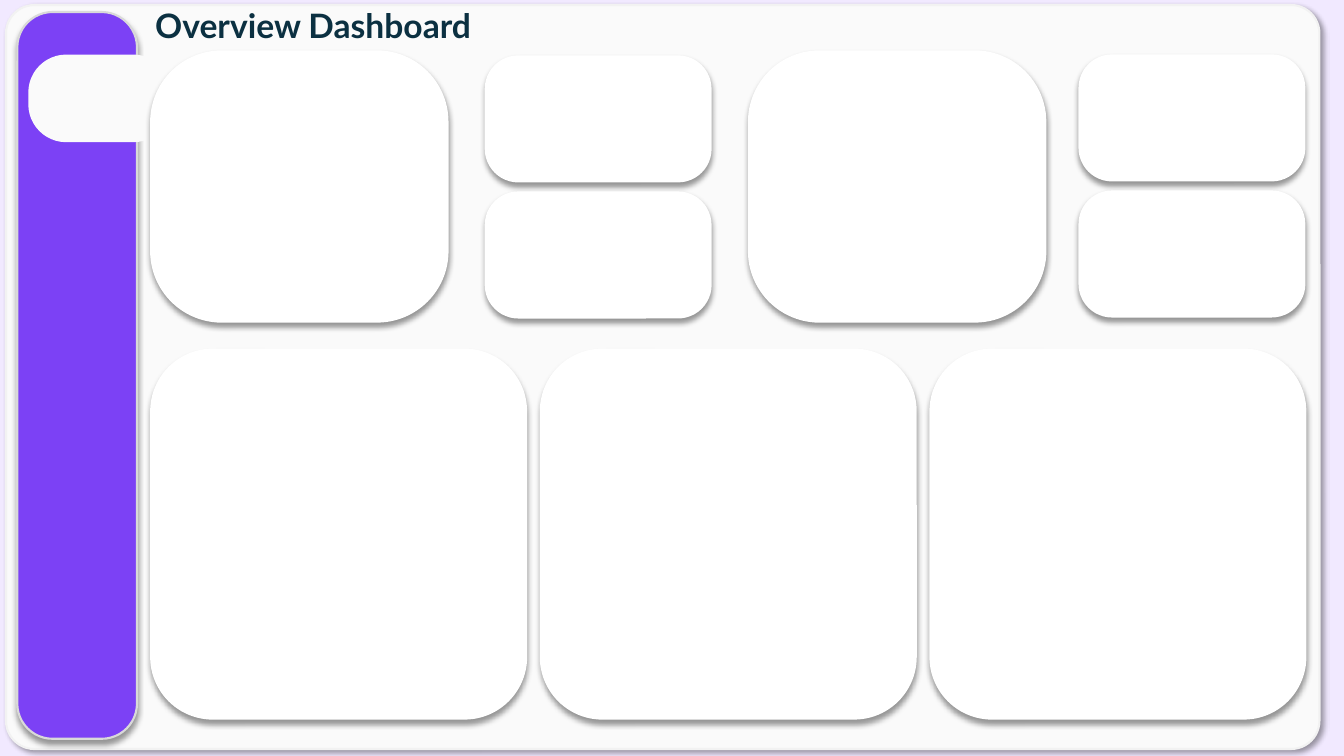
from lxml import etree
from pptx import Presentation
from pptx.dml.color import RGBColor
from pptx.enum import shapes, text
from pptx.oxml import ns
from pptx.util import Pt


def rgb(value):
    return RGBColor.from_string(value)


def add_shadow(sp, angle):
    effects = sp._element.spPr.find(ns.qn("a:effectLst"))
    outer = etree.SubElement(
        effects, ns.qn("a:outerShdw"), blurRad=str(Pt(4)), dist=str(Pt(3)),
        dir=str(angle * 60000), algn="ctr", rotWithShape="0")
    color = etree.SubElement(outer, ns.qn("a:srgbClr"), val="000000")
    etree.SubElement(color, ns.qn("a:alpha"), val="40000")


def add_round_box(s, box, radius, fill, line=None, angle=90):
    sp = s.shapes.add_shape(
        shapes.MSO_SHAPE.ROUNDED_RECTANGLE, *[Pt(v) for v in box])
    sp.adjustments[0] = radius
    sp.shadow.inherit = False
    sp.fill.solid()
    sp.fill.fore_color.rgb = rgb(fill)
    if line:
        sp.line.color.rgb = rgb(line)
        sp.line.width = Pt(1.5)
        add_shadow(sp, angle)
    else:
        sp.line.fill.background()


def add_card(s, box, radius=0.261):
    add_round_box(s, box, radius, "FFFFFF", "FFFFFF")


def add_sidebar(s, x, y, w, h):
    add_round_box(s, (x, y, w, h), 0.295, "7C41F5", "D9D9D9")
    add_round_box(s, (x + 7.8, y + 30.4, 102.2, 62.6), 0.433, "FAFAFA")


def add_summary_group(s, x, y, small_dx, small_dy):
    add_card(s, (x, y, 211.7, 193))
    for row in range(2):
        add_card(s, (x + small_dx, y + small_dy + row * 97.2, 160.6, 89.3))


def add_detail_row(s, x, y, w, h, count=3):
    card_w = 267.8
    pitch = (w - card_w) / (count - 1)
    for col in range(count):
        add_card(s, (x + col * pitch, y, card_w, h), 0.167)


def add_title(s, x, y, w, h):
    sp = s.shapes.title
    s.shapes._spTree.append(sp._element)
    sp.left, sp.top, sp.width, sp.height = [Pt(v) for v in (x, y, w, h)]
    tf = sp.text_frame
    tf.text = "Overview Dashboard"
    tf.word_wrap = True
    tf.auto_size = text.MSO_AUTO_SIZE.NONE
    tf.vertical_anchor = text.MSO_ANCHOR.TOP
    tf.margin_left = tf.margin_right = Pt(7.2)
    tf.margin_top = tf.margin_bottom = Pt(3.6)
    p = tf.paragraphs[0]
    p.alignment = text.PP_ALIGN.LEFT
    p.line_spacing = 1
    p.space_before = Pt(0)
    font = p.runs[0].font
    font.name = "Lato"
    font.size = Pt(24)
    font.bold = True
    font.color.rgb = rgb("0B3041")


def main():
    prs = Presentation()
    prs.slide_width, prs.slide_height = Pt(960), Pt(540)
    s = prs.slides.add_slide(prs.slide_layouts[5])
    s.background.fill.solid()
    s.background.fill.fore_color.rgb = rgb("F1E9FF")
    add_round_box(s, (4.3, 3.6, 938.2, 531.4), 0.038, "FAFAFA", "F2F2F2", 45)
    add_sidebar(s, 12.4, 8.6, 85.5, 519.1)
    add_summary_group(s, 108, 36.7, 239, 3.6)
    add_summary_group(s, 535, 36.7, 236.1, 2.9)
    add_detail_row(s, 108, 249.8, 824.4, 263.5)
    add_title(s, 103.7, 0, 272.2, 58.3)
    prs.save("out.pptx")


if __name__ == "__main__":
    main()
